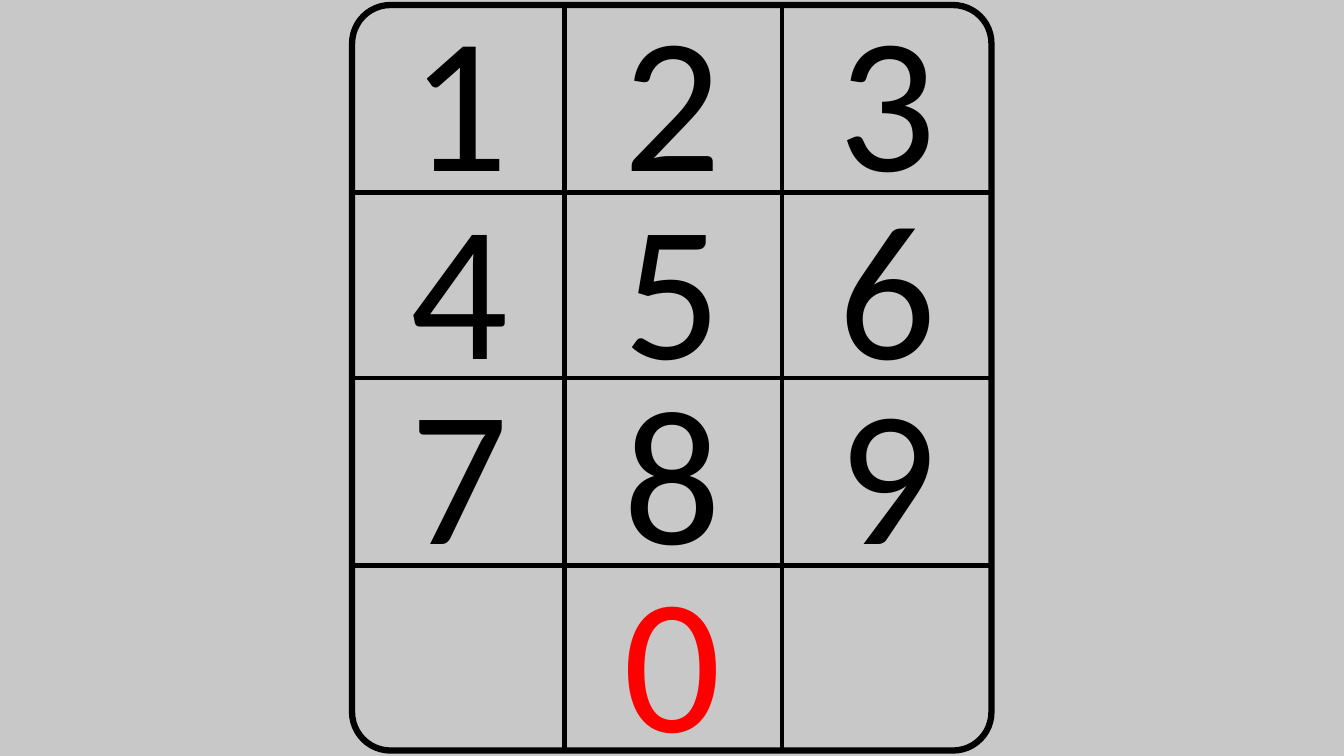
from pptx import Presentation
from pptx.dml.color import RGBColor
from pptx.enum.shapes import MSO_CONNECTOR as Connector, MSO_SHAPE as Shape
from pptx.enum.text import MSO_AUTO_SIZE as AutoSize, PP_ALIGN as Align
from pptx.oxml.ns import qn
from pptx.util import Pt
from lxml.etree import SubElement


def paint(color, value):
    color.rgb = RGBColor.from_string(value)


def add_rule(page, x1, y1, x2, y2):
    rule = page.shapes.add_connector(Connector.STRAIGHT, Pt(x1), Pt(y1), Pt(x2), Pt(y2))
    rule.line.width = Pt(3)
    paint(rule.line.color, "000000")
    SubElement(rule._element.spPr, qn("a:effectLst"))


deck = Presentation()
deck.slide_width, deck.slide_height = Pt(960), Pt(540)
page = deck.slides.add_slide(deck.slide_layouts[6])
page.background.fill.solid()
paint(page.background.fill.fore_color, "C8C8C8")

left, top, width, height = 251.5, 3.6, 456.7, 532.5
row_edges = [137.5, 270, 404]
column_edges = [403.2, 558.7]

keypad = page.shapes.add_shape(Shape.ROUNDED_RECTANGLE, Pt(left), Pt(top), Pt(width), Pt(height))
keypad.adjustments[0] = 0.06
keypad.shadow.inherit = False
keypad.fill.background()
keypad.line.width = Pt(4.5)
paint(keypad.line.color, "000000")

for y in row_edges:
    add_rule(page, left, y, left + width, y)
for x in column_edges:
    add_rule(page, x, top, x, top + height)

digit_lefts = [256.3, 408.2, 561.6]
digit_rows = ["123", "456", "789", " 0 "]
for row_top, digits in zip([top] + row_edges, digit_rows):
    for digit_left, digit in zip(digit_lefts, digits):
        if digit == " ":
            continue
        box = page.shapes.add_textbox(Pt(digit_left), Pt(row_top - 22.3), Pt(144), Pt(174.2))
        frame = box.text_frame
        frame.word_wrap = True
        frame.auto_size = AutoSize.SHAPE_TO_FIT_TEXT
        frame.text = digit
        para = frame.paragraphs[0]
        para.alignment = Align.CENTER
        span = para.runs[0]
        span.font.name = "Calibri"
        span.font.size = Pt(138)
        paint(span.font.color, "FF0000" if digit == "0" else "000000")

deck.save("out.pptx")
